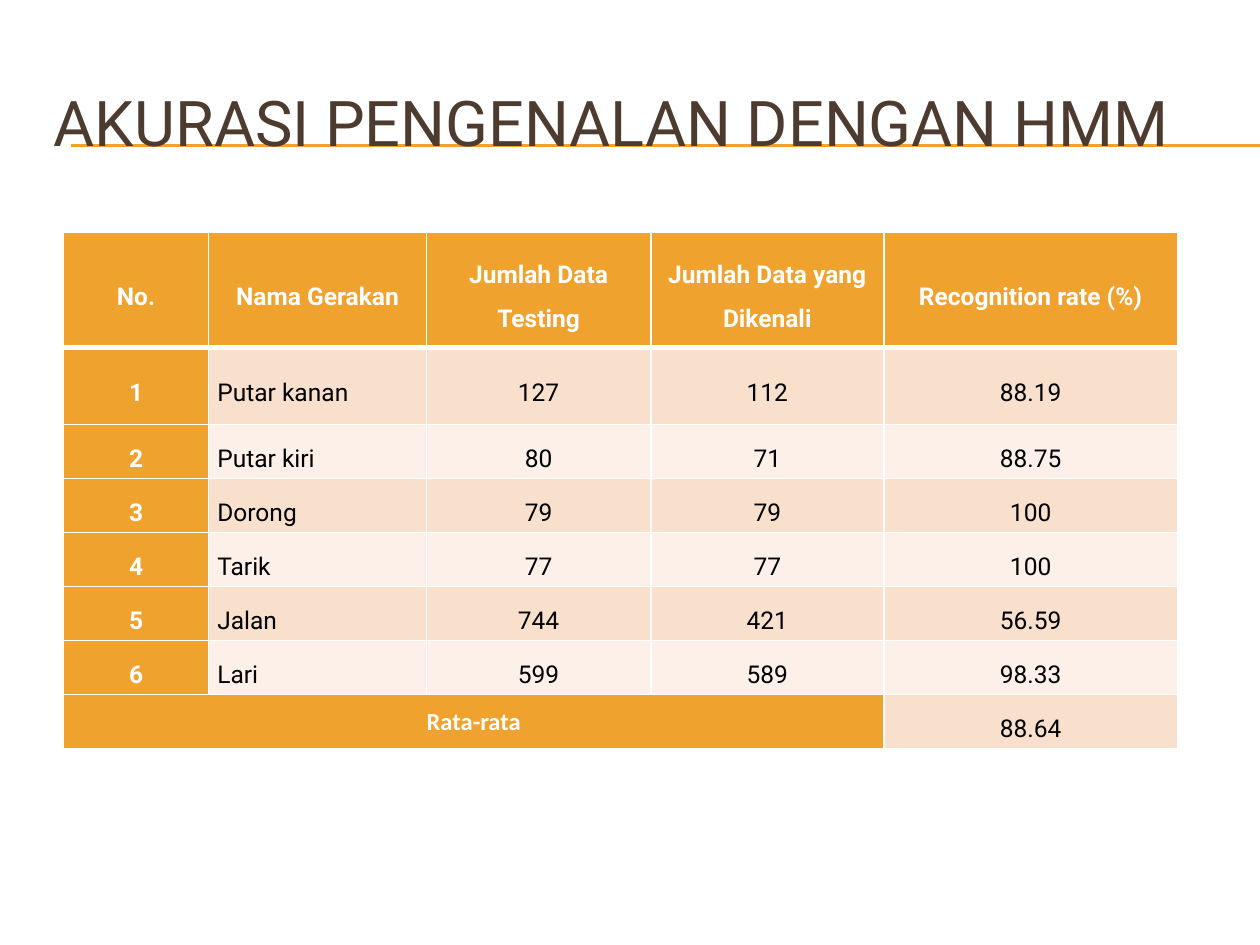
from dataclasses import dataclass

from lxml.etree import SubElement
from pptx import Presentation
from pptx.dml.color import RGBColor as RGB
from pptx.enum.shapes import MSO_CONNECTOR as Connector
from pptx.enum.text import MSO_ANCHOR as Anchor, PP_ALIGN as Align
from pptx.oxml.ns import qn
from pptx.util import Emu, Inches, Pt


@dataclass(frozen=True)
class Theme:
    accent: str = "F0A22E"
    title: str = "4E3B30"
    body: str = "000000"
    white: str = "FFFFFF"
    bands: tuple = ("F9E0CD", "FCF0E8")
    font: str = "Roboto"
    total_font: str = "Calibri"
    title_size: int = 36
    table_size: int = 14
    thin: float = 1
    thick: float = 3


class SlideBuilder:
    """Places elements on a grid of 100 columns by 75 rows."""

    def __init__(self, prs, theme):
        self.theme = theme
        self.s = prs.slides.add_slide(prs.slide_layouts[6])
        self.col = prs.slide_width / 100
        self.row = prs.slide_height / 75

    def x(self, cols):
        return Emu(round(cols * self.col))

    def y(self, rows):
        return Emu(round(rows * self.row))

    def set_text(self, tf, text, size, color, font=None, bold=False,
                 align=Align.LEFT, spacing=None):
        tf.word_wrap = True
        p = tf.paragraphs[0]
        p.text = text
        p.alignment = align
        p.line_spacing = spacing
        f = p.runs[0].font
        f.name, f.size, f.bold = font or self.theme.font, Pt(size), bold
        f.color.rgb = RGB.from_string(color)

    def rule(self, left, right, top):
        y = self.y(top)
        line = self.s.shapes.add_connector(
            Connector.STRAIGHT, self.x(left), y, self.x(right), y)
        line.line.color.rgb = RGB.from_string(self.theme.accent)
        line.line.width = Pt(0.75)
        SubElement(line._element.spPr, qn("a:effectLst"))

    def title(self, text, left, top, width, height):
        sp = self.s.shapes.add_textbox(
            self.x(left), self.y(top), self.x(width), self.y(height))
        sp.text_frame.vertical_anchor = Anchor.MIDDLE
        self.set_text(sp.text_frame, text, self.theme.title_size,
                      self.theme.title)

    def borders(self, cell, top, bottom):
        t = self.theme
        tcPr = cell._tc.get_or_add_tcPr()
        for side, width in zip("LRTB", (t.thin, t.thin, top, bottom)):
            ln = SubElement(tcPr, qn(f"a:ln{side}"), w=str(Pt(width)))
            fill = SubElement(ln, qn("a:solidFill"))
            SubElement(fill, qn("a:srgbClr"), val=t.white)

    def cell(self, table, r, c, text):
        t = self.theme
        cell = table.cell(r, c)
        total = r == len(table.rows) - 1 and c == 0
        strong = r == 0 or c == 0
        self.borders(cell, t.thick if r == 1 else t.thin,
                     t.thick if r == 0 else t.thin)
        cell.fill.solid()
        cell.fill.fore_color.rgb = RGB.from_string(
            t.accent if strong else t.bands[(r - 1) % 2])
        cell.vertical_anchor = Anchor.MIDDLE
        cell.margin_left = cell.margin_right = Inches(0.07)
        cell.margin_top = cell.margin_bottom = 0
        if text:
            self.set_text(cell.text_frame, text, t.table_size,
                          t.white if strong else t.body,
                          font=t.total_font if total else t.font, bold=strong,
                          align=Align.JUSTIFY if c == 1 and r else Align.CENTER,
                          spacing=None if total else 1.5)

    def table(self, rows, left, top, widths, heights):
        """Table with a header row, a label column and a merged total row."""
        table = self.s.shapes.add_table(
            len(rows), len(widths), self.x(left), self.y(top),
            self.x(sum(widths)), self.y(sum(heights))).table
        for column, width in zip(table.columns, widths):
            column.width = self.x(width)
        for row, height in zip(table.rows, heights):
            row.height = self.y(height)
        for r, values in enumerate(rows):
            for c, text in enumerate(values):
                self.cell(table, r, c, text)
        last = len(rows) - 1
        table.cell(last, 0).merge(table.cell(last, len(widths) - 2))


HEADER = ("No.", "Nama Gerakan", "Jumlah Data Testing",
          "Jumlah Data yang Dikenali", "Recognition rate (%)")
GESTURES = (
    ("Putar kanan", "127", "112", "88.19"),
    ("Putar kiri", "80", "71", "88.75"),
    ("Dorong", "79", "79", "100"),
    ("Tarik", "77", "77", "100"),
    ("Jalan", "744", "421", "56.59"),
    ("Lari", "599", "589", "98.33"),
)
AVERAGE = ("Rata-rata", "", "", "", "88.64")


def main():
    prs = Presentation()
    prs.slide_width, prs.slide_height = Inches(10), Inches(7.5)
    slide = SlideBuilder(prs, Theme())
    for top in (11.5, 11.6):
        slide.rule(5.6, 100, top)
    slide.title("AKURASI PENGENALAN DENGAN HMM", 3.3, 5, 95, 9.2)
    numbered = [(str(n), *g) for n, g in enumerate(GESTURES, 1)]
    slide.table([HEADER, *numbered, AVERAGE], 5.05, 18.4,
                widths=(11.5, 17.3, 17.8, 18.5, 23.3),
                heights=(9.2, 6.1, *[4.29] * 6))
    prs.save("out.pptx")


if __name__ == "__main__":
    main()
